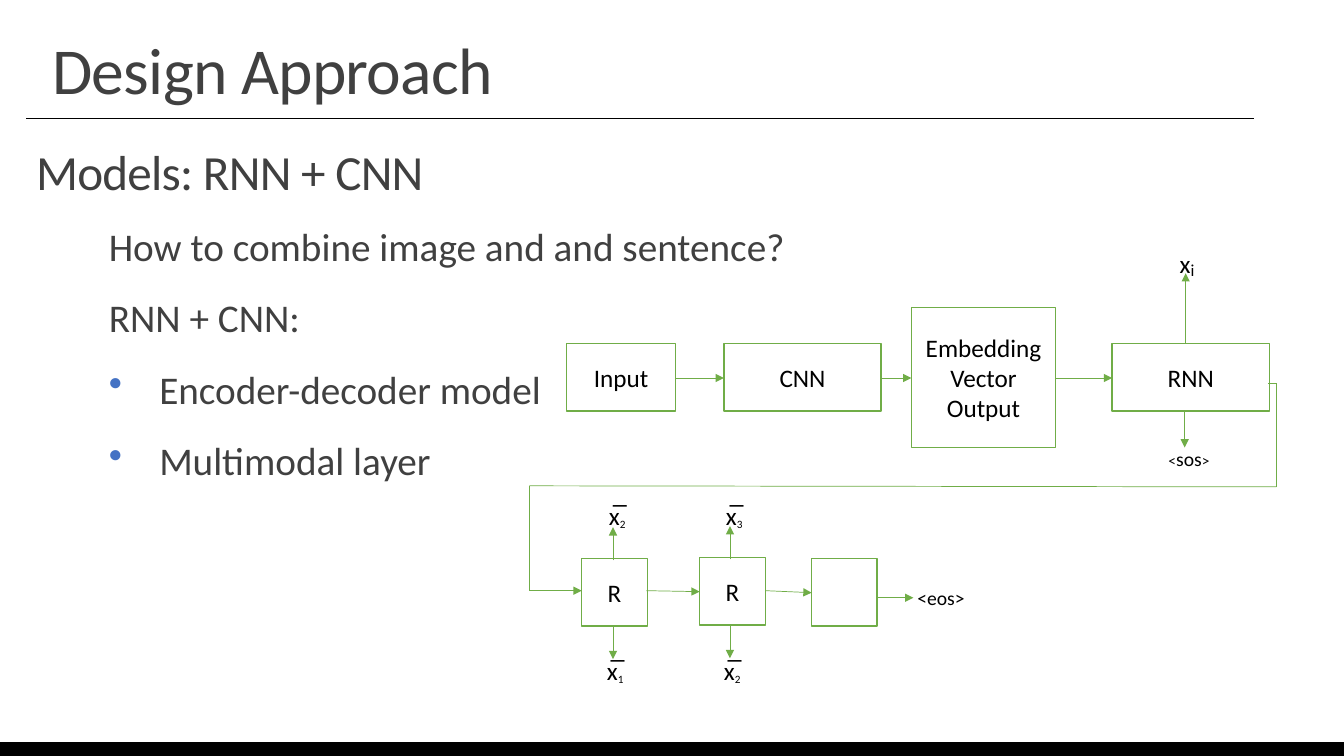
from dataclasses import dataclass

from lxml.etree import SubElement
from pptx import Presentation
from pptx.dml.color import RGBColor
from pptx.enum.shapes import MSO_CONNECTOR, MSO_SHAPE
from pptx.enum.text import MSO_ANCHOR, PP_ALIGN
from pptx.oxml.ns import qn
from pptx.util import Inches, Pt


@dataclass(frozen=True)
class Theme:
    """Colours, font and type sizes of the slide."""
    font: str = "Calibri"
    white: str = "FFFFFF"
    black: str = "000000"
    text: str = "404040"
    green: str = "70AD47"
    bullet: str = "4472C4"
    title: float = 46.8
    heading: float = 35.1
    body: float = 28
    label: float = 18
    token: float = 14
    index: float = 12
    bracket: float = 11
    small_index: float = 8


class SlideBuilder:
    """Draws styled elements on the current slide."""

    def __init__(self, slide, theme):
        self.slide = slide
        self.theme = theme

    def add_run(self, paragraph, text, size, color, spacing=None):
        """Append one styled run to a paragraph."""
        run = paragraph.add_run()
        run.text = text
        run.font.name = self.theme.font
        run.font.size = Pt(size)
        run.font.color.rgb = RGBColor.from_string(color)
        if spacing is not None:
            run.font._element.set("spc", str(int(spacing * 100)))

    def add_frame(self, left, top, width, height, wrap=True):
        """Add an empty text box and return its text frame."""
        shape = self.slide.shapes.add_textbox(
            Inches(left), Inches(top), Inches(width), Inches(height))
        shape.text_frame.word_wrap = wrap
        return shape.text_frame

    def add_heading(self, text, place, size, line_spacing):
        """Add a tightly spaced heading."""
        paragraph = self.add_frame(*place).paragraphs[0]
        paragraph.line_spacing = line_spacing
        self.add_run(paragraph, text, size, self.theme.text, -0.5)

    def add_body(self, place, items):
        """Add body paragraphs given as text and bullet flag."""
        frame = self.add_frame(*place)
        frame.margin_left = frame.margin_right = Inches(0.13)
        frame.margin_top = frame.margin_bottom = Inches(0.13)
        for number, (text, bulleted) in enumerate(items):
            paragraph = frame.add_paragraph() if number else frame.paragraphs[0]
            paragraph.line_spacing = 1.1
            paragraph.space_before = Pt(12)
            paragraph.space_after = Pt(2)
            self.add_run(paragraph, text, self.theme.body, self.theme.text)
            properties = paragraph._p.get_or_add_pPr()
            indent = Inches(0.5 if bulleted else 0.1)
            properties.set("marL", str(indent))
            properties.set("indent", str(-indent))
            if bulleted:
                color = SubElement(properties, qn("a:buClr"))
                SubElement(color, qn("a:srgbClr")).set("val", self.theme.bullet)
                SubElement(properties, qn("a:buChar")).set("char", "•")
            else:
                SubElement(properties, qn("a:buNone"))

    def add_label(self, place, *runs):
        """Add a one-line label made of text and size pairs."""
        paragraph = self.add_frame(*place, wrap=False).paragraphs[0]
        for text, size in runs:
            self.add_run(paragraph, text, size, self.theme.black)

    def add_mean(self, left, top, index):
        """Add an overlined x with a small index."""
        self.add_label((left, top, 0.31, 0.4), ("x̅", self.theme.label))
        self.add_label((left + 0.11, top + 0.17, 0.26, 0.24),
                       (index, self.theme.small_index))

    def add_box(self, place, lines=(), fill=None, outline=None):
        """Add a rectangle with centred lines of text."""
        shape = self.slide.shapes.add_shape(
            MSO_SHAPE.RECTANGLE, *(Inches(length) for length in place))
        shape.shadow.inherit = False
        shape.fill.solid()
        shape.fill.fore_color.rgb = RGBColor.from_string(fill or self.theme.white)
        shape.line.color.rgb = RGBColor.from_string(outline or self.theme.green)
        shape.line.width = Pt(1)
        frame = shape.text_frame
        frame.word_wrap = True
        frame.vertical_anchor = MSO_ANCHOR.MIDDLE
        for number, text in enumerate(lines):
            paragraph = frame.add_paragraph() if number else frame.paragraphs[0]
            paragraph.alignment = PP_ALIGN.CENTER
            self.add_run(paragraph, text, self.theme.label, self.theme.black)

    def add_line(self, start, end, color=None, arrow=False):
        """Add a thin straight line, with an arrowhead at its end if asked."""
        connector = self.slide.shapes.add_connector(
            MSO_CONNECTOR.STRAIGHT,
            *(Inches(length) for length in (*start, *end)))
        connector.line.color.rgb = RGBColor.from_string(color or self.theme.green)
        connector.line.width = Pt(0.5)
        if arrow:
            outline = connector.line._get_or_add_ln()
            SubElement(outline, qn("a:tailEnd")).set("type", "triangle")
        SubElement(connector._element.spPr, qn("a:effectLst"))


def main():
    """Build and save the slide."""
    presentation = Presentation()
    presentation.slide_width = Inches(13.33)
    presentation.slide_height = Inches(7.5)
    slide = presentation.slides.add_slide(presentation.slide_layouts[6])
    theme = Theme()
    builder = SlideBuilder(slide, theme)

    builder.add_line((0.26, 1.17), (12.44, 1.17), theme.black)
    builder.add_heading("Design Approach", (0.42, 0.39, 10.88, 0.78),
                        theme.title, 0.8)
    builder.add_body((0.95, 2.03, 7.77, 4.31), (
        ("How to combine image and and sentence?", False),
        ("RNN + CNN:", False),
        ("Encoder-decoder model", True),
        ("Multimodal layer", True)))
    builder.add_heading("Models: RNN + CNN", (0.26, 1.42, 5.36, 1.1),
                        theme.heading, 0.9)

    for left, width, text in ((5.62, 1.08, "Input"), (7.18, 1.56, "CNN"),
                              (11.03, 1.56, "RNN")):
        builder.add_box((left, 3.41, width, 0.67), (text,))
    builder.add_box((9.04, 3.05, 1.43, 1.39), ("Embedding Vector", "Output"))
    for left, top, lines in ((5.77, 5.54, ("R",)), (6.94, 5.53, ("R",)),
                             (8.05, 5.54, ())):
        builder.add_box((left, top, 0.65, 0.67), lines)

    for start, end in ((6.7, 7.18), (8.74, 9.04), (10.47, 11.03)):
        builder.add_line((start, 3.75), (end, 3.75), arrow=True)
    for start, end in (((5.25, 5.86), (5.77, 5.86)),
                       ((6.41, 5.86), (6.94, 5.87)),
                       ((7.59, 5.86), (8.05, 5.88)),
                       ((8.71, 5.93), (9.06, 5.93)),
                       ((11.76, 3.41), (11.76, 2.71)),
                       ((11.75, 4.09), (11.75, 4.44))):
        builder.add_line(start, end, arrow=True)

    feedback = ((12.58, 3.8), (12.66, 3.8), (12.66, 4.83),
                (5.25, 4.82), (5.25, 5.86))
    for start, end in zip(feedback, feedback[1:]):
        builder.add_line(start, end)

    for center, top, upper, lower in ((6.08, 5.54, "2", "1"),
                                      (7.24, 5.53, "3", "2")):
        builder.add_line((center, top + 0.02), (center, top - 0.31), arrow=True)
        builder.add_line((center, top + 0.67), (center, top + 1), arrow=True)
        builder.add_mean(center - 0.14, 4.91, upper)
        builder.add_mean(center - 0.16, 6.45, lower)

    builder.add_label((11.6, 2.41, 0.31, 0.4), ("x", theme.label))
    builder.add_label((11.71, 2.53, 0.24, 0.3), ("i", theme.index))
    builder.add_label((11.49, 4.38, 0.65, 0.34), ("<", theme.bracket),
                      ("sos", theme.token), (">", theme.bracket))
    builder.add_label((9, 5.76, 0.96, 0.34), ("<eos>", theme.token))
    builder.add_box((0, 7.37, 13.33, 0.12), fill=theme.black, outline=theme.black)
    presentation.save("out.pptx")


if __name__ == "__main__":
    main()
